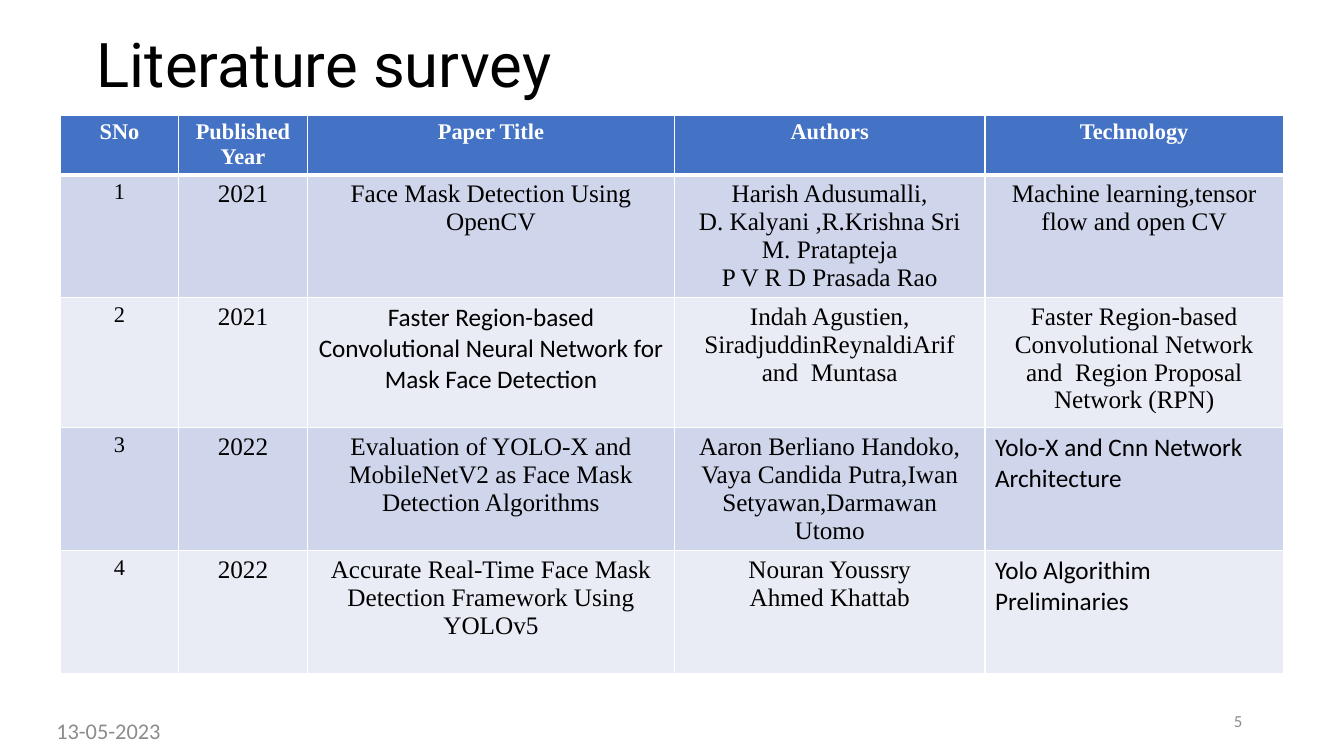
from dataclasses import astuple, dataclass

from lxml import etree
from pptx import Presentation
from pptx.dml.color import RGBColor
from pptx.enum.text import MSO_ANCHOR, PP_ALIGN
from pptx.oxml.ns import qn
from pptx.util import Inches, Pt

LEFT, CENTER, RIGHT = PP_ALIGN.LEFT, PP_ALIGN.CENTER, PP_ALIGN.RIGHT
MIDDLE = MSO_ANCHOR.MIDDLE

BLACK = RGBColor(0x00, 0x00, 0x00)
WHITE = RGBColor(0xFF, 0xFF, 0xFF)
GREY = RGBColor(0x8C, 0x8C, 0x8C)
HEADER_BLUE = RGBColor(0x44, 0x72, 0xC4)
BANDS = (RGBColor(0xCF, 0xD5, 0xEA), RGBColor(0xE9, 0xEB, 0xF5))

TITLE_FONT, TABLE_FONT, PLAIN_FONT = "Roboto", "Times New Roman", "Calibri"


@dataclass
class Style:
    font: str
    size: float
    color: RGBColor = BLACK
    bold: bool = False
    align: PP_ALIGN = CENTER


@dataclass
class Paper:
    number: str
    year: str
    title: str
    authors: str
    technology: str


HEADER = Style(TABLE_FONT, 16, WHITE, bold=True)
NUMBER = Style(TABLE_FONT, 16)
BODY = Style(TABLE_FONT, 18)
PLAIN = Style(PLAIN_FONT, 18)
PLAIN_LEFT = Style(PLAIN_FONT, 18, align=LEFT)

HEADINGS = ("SNo", "Published Year", "Paper Title", "Authors", "Technology")
PAPERS = (
    Paper("1", "2021", "Face Mask Detection Using OpenCV",
          "Harish Adusumalli,\nD. Kalyani ,R.Krishna Sri\nM. Pratapteja\nP V R D Prasada Rao",
          "Machine learning,tensor flow and open CV"),
    Paper("2", "2021",
          "Faster Region-based Convolutional Neural Network for Mask Face Detection",
          "Indah Agustien, SiradjuddinReynaldiArif and  Muntasa",
          "Faster Region-based Convolutional Network and \u00a0Region Proposal Network (RPN)"),
    Paper("3", "2022",
          "Evaluation of YOLO-X and MobileNetV2 as Face Mask Detection Algorithms",
          "Aaron Berliano Handoko,\nVaya Candida Putra,Iwan Setyawan,Darmawan Utomo",
          "Yolo-X and Cnn Network Architecture"),
    Paper("4", "2022", "Accurate Real-Time Face Mask Detection Framework Using YOLOv5",
          "Nouran Youssry\nAhmed Khattab", "Yolo Algorithim Preliminaries"),
)
COLUMN_WIDTHS = (1.17, 1.28, 3.64, 3.08, 2.96)
ROW_HEIGHTS = (0.59, 1.22, 1.29, 1.22, 1.22)

# Cells that differ from their column, by row and column
SPECIAL_STYLES = {(2, 2): PLAIN, (3, 4): PLAIN_LEFT, (4, 4): PLAIN_LEFT}


def write(text_frame, text: str, style: Style) -> None:
    text_frame.text = text
    for paragraph in text_frame.paragraphs:
        paragraph.alignment = style.align
        for run in paragraph.runs:
            run.font.name = style.font
            run.font.size = Pt(style.size)
            run.font.bold = style.bold
            run.font.color.rgb = style.color


def add_border(cell, side: str, points: float) -> None:
    properties = cell._tc.get_or_add_tcPr()
    line = etree.SubElement(properties, qn(f"a:ln{side}"), w=str(Pt(points)))
    fill = etree.SubElement(line, qn("a:solidFill"))
    etree.SubElement(fill, qn("a:srgbClr"), val=str(WHITE))


def cell_style(row: int, column: int) -> Style:
    if row == 0:
        return HEADER
    return SPECIAL_STYLES.get((row, column), NUMBER if column == 0 else BODY)


def add_survey_table(slide) -> None:
    rows = [HEADINGS, *map(astuple, PAPERS)]
    table = slide.shapes.add_table(
        len(rows), len(HEADINGS), Inches(0.6), Inches(1.14),
        Inches(sum(COLUMN_WIDTHS)), Inches(sum(ROW_HEIGHTS))).table
    table.horz_banding = False
    for column, width in zip(table.columns, COLUMN_WIDTHS):
        column.width = Inches(width)
    for row, height in zip(table.rows, ROW_HEIGHTS):
        row.height = Inches(height)
    for row, texts in enumerate(rows):
        for column, text in enumerate(texts):
            cell = table.cell(row, column)
            for side in "LRTB":
                under_header = (row, side) in ((0, "B"), (1, "T"))
                add_border(cell, side, 3 if under_header else 1)
            cell.fill.solid()
            cell.fill.fore_color.rgb = BANDS[(row - 1) % 2] if row else HEADER_BLUE
            write(cell.text_frame, text, cell_style(row, column))


def add_footer(slide, text: str, left: float, top: float, width: float, style: Style) -> None:
    box = slide.shapes.add_textbox(Inches(left), Inches(top), Inches(width), Inches(0.4))
    box.text_frame.word_wrap = True
    box.text_frame.vertical_anchor = MIDDLE
    write(box.text_frame, text, style)


presentation = Presentation()
presentation.slide_width, presentation.slide_height = Inches(13.33), Inches(7.5)
slide = presentation.slides.add_slide(presentation.slide_layouts[5])

# Title
title = slide.shapes.title
title.left, title.top = Inches(0.86), Inches(0.2)
title.width, title.height = Inches(11.5), Inches(0.94)
title.text_frame.vertical_anchor = MIDDLE
write(title.text_frame, "Literature survey", Style(TITLE_FONT, 44, align=LEFT))
title.text_frame.paragraphs[0].line_spacing = 0.9

# Table of papers
add_survey_table(slide)

# Slide number and date
add_footer(slide, "5", 9.42, 6.95, 3, Style(PLAIN_FONT, 12, GREY, align=RIGHT))
add_footer(slide, "13-05-2023", 0.46, 7.05, 1.45, Style(PLAIN_FONT, 16, GREY, align=LEFT))

presentation.save("out.pptx")
